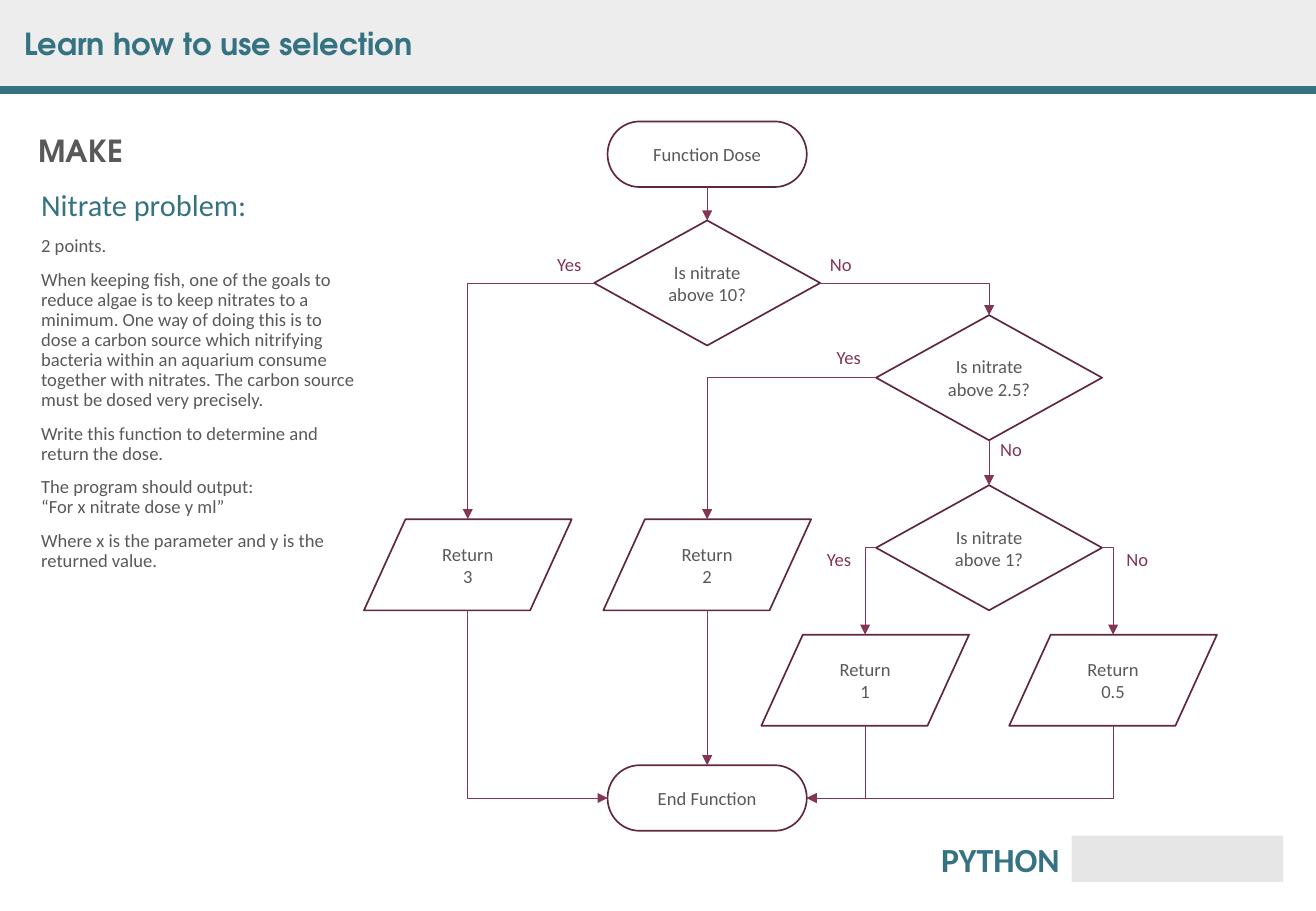
from lxml.etree import SubElement
from pptx import Presentation
from pptx.dml.color import RGBColor
from pptx.enum.shapes import MSO_CONNECTOR, MSO_SHAPE
from pptx.enum.text import MSO_ANCHOR, MSO_AUTO_SIZE, PP_ALIGN
from pptx.oxml.ns import qn
from pptx.util import Inches, Pt

COLORS = {
    "teal": "357382", "band": "EDEDED", "text": "595959", "pale": "E7E6E6",
    "white": "FFFFFF", "outline": "60273E", "arrow": "823554",
}
HEADING_FONT = "TeX Gyre Adventor"
BODY_FONT = "Calibri"

# Node kinds: preset, width, height
KINDS = {
    "terminal": (MSO_SHAPE.FLOWCHART_TERMINATOR, 1.64, 0.54),
    "decision": (MSO_SHAPE.FLOWCHART_DECISION, 1.86, 1.03),
    "output": (MSO_SHAPE.FLOWCHART_DATA, 1.71, 0.75),
}
SITES = {"top": 0, "left": 1, "bottom": 2, "right": 3}
OUTPUT_SITES = {"top": 1, "left": 2, "bottom": 4, "right": 5}

# Nodes: kind, text, centre x and y within the chart
NODES = {
    "start": ("terminal", "Function Dose", 2.83, 0.27),
    "above 10": ("decision", "Is nitrate above 10?", 2.83, 1.33),
    "above 2.5": ("decision", "Is nitrate above 2.5?", 5.15, 2.11),
    "above 1": ("decision", "Is nitrate above 1?", 5.15, 3.51),
    "dose 3": ("output", "Return\n3", 0.86, 3.65),
    "dose 2": ("output", "Return\n2", 2.83, 3.65),
    "dose 1": ("output", "Return\n1", 4.13, 4.6),
    "dose 0.5": ("output", "Return\n0.5", 6.17, 4.6),
    "end": ("terminal", "End Function", 2.83, 5.57),
}
ARROWS = [
    ("start", "bottom", "above 10", "top"),
    ("above 10", "right", "above 2.5", "top"),
    ("above 2.5", "bottom", "above 1", "top"),
    ("above 2.5", "left", "dose 2", "top"),
    ("above 10", "left", "dose 3", "top"),
    ("above 1", "right", "dose 0.5", "top"),
    ("above 1", "left", "dose 1", "top"),
    ("dose 3", "bottom", "end", "left"),
    ("dose 1", "bottom", "end", "right"),
    ("dose 0.5", "bottom", "end", "right"),
    ("dose 2", "bottom", "end", "top"),
]
ANSWERS = [
    ("Yes", 1.49, 1.03), ("No", 3.74, 1.03), ("Yes", 3.79, 1.8),
    ("No", 5.14, 2.56), ("Yes", 3.71, 3.46), ("No", 6.18, 3.46),
]
PROBLEM = [
    "Nitrate problem:",
    "2 points.",
    "When keeping fish, one of the goals to reduce algae is to keep nitrates to a "
    "minimum. One way of doing this is to dose a carbon source which nitrifying "
    "bacteria within an aquarium consume together with nitrates. The carbon source "
    "must be dosed very precisely.",
    "Write this function to determine and return the dose.",
    "The program should output:\n“For x nitrate dose y ml”",
    "Where x is the parameter and y is the returned value.",
]


def color(name):
    return RGBColor.from_string(COLORS[name])


def write(para, text, size, color_name, font=BODY_FONT, bold=False, align=PP_ALIGN.LEFT):
    para.text = text
    para.alignment = align
    para.font.size = Pt(size)
    para.font.name = font
    para.font.bold = bold
    para.font.color.rgb = color(color_name)


def add_box(page, preset, left, top, width, height, fill, line=None):
    box = page.shapes.add_shape(preset, Inches(left), Inches(top), Inches(width), Inches(height))
    box.shadow.inherit = False
    box.fill.solid()
    box.fill.fore_color.rgb = color(fill)
    if line:
        box.line.color.rgb = color(line)
        box.line.width = Pt(1)
    else:
        box.line.fill.background()
    box.text_frame.vertical_anchor = MSO_ANCHOR.MIDDLE
    return box


def add_text(page, left, top, width, height, wrap=False):
    box = page.shapes.add_textbox(Inches(left), Inches(top), Inches(width), Inches(height))
    box.text_frame.word_wrap = wrap
    return box.text_frame


def add_line(page, kind, ends, line, weight):
    connector = page.shapes.add_connector(kind, *(int(end) for end in ends))
    connector.line.color.rgb = color(line)
    connector.line.width = Pt(weight)
    SubElement(connector._element.spPr, qn("a:effectLst"))
    return connector


def site_point(node, side):
    across = {"left": 0, "right": 1}.get(side, 0.5)
    down = {"top": 0, "bottom": 1}.get(side, 0.5)
    return node.left + node.width * across, node.top + node.height * down


def add_arrow(page, nodes, source, out_side, target, in_side):
    """Join two nodes with a straight arrow or one with a single corner."""
    x1, y1 = site_point(nodes[source], out_side)
    x2, y2 = site_point(nodes[target], in_side)
    straight = abs(x2 - x1) < Inches(0.01)
    ends, turn = (x1, y1, x2, y2), 0
    if not straight and out_side == "bottom":
        # A path that starts downwards is a turned one that starts sideways
        mid_x, mid_y = (x1 + x2) / 2, (y1 + y2) / 2
        half_width, half_height = (y2 - y1) / 2, abs(x2 - x1) / 2
        way = 1 if x2 < x1 else -1
        ends = (mid_x - way * half_width, mid_y - half_height,
                mid_x + way * half_width, mid_y + half_height)
        turn = 90 if way == 1 else 270
    kind = MSO_CONNECTOR.STRAIGHT if straight else MSO_CONNECTOR.ELBOW
    connector = add_line(page, kind, ends, "arrow", 0.5)
    element = connector._element
    if not straight:
        element.spPr.find(qn("a:prstGeom")).set("prst", "bentConnector2")
    if turn:
        element.spPr.find(qn("a:xfrm")).set("rot", str(turn * 60000))
    SubElement(element.spPr.find(qn("a:ln")), qn("a:tailEnd"), type="triangle")
    links = element.nvCxnSpPr.cNvCxnSpPr
    for tag, name, side in (("a:stCxn", source, out_side), ("a:endCxn", target, in_side)):
        sites = OUTPUT_SITES if NODES[name][0] == "output" else SITES
        SubElement(links, qn(tag), id=str(nodes[name].shape_id), idx=str(sites[side]))


def add_header(page, width, height):
    band = add_box(page, MSO_SHAPE.RECTANGLE, 0, 0, width, height, "band")
    page.shapes._spTree.insert(2, band._element)
    ends = (0, Inches(height), Inches(width), Inches(height))
    add_line(page, MSO_CONNECTOR.STRAIGHT, ends, "teal", 4.5)
    title = page.shapes.title
    title.left, title.top = Inches(0.1), Inches(0.16)
    title.width, title.height = Inches(3.43), Inches(0.4)
    frame = title.text_frame
    frame.word_wrap = False
    frame.auto_size = MSO_AUTO_SIZE.NONE
    frame.vertical_anchor = MSO_ANCHOR.TOP
    write(frame.paragraphs[0], "Learn how to use selection", 18, "teal", HEADING_FONT, True)


def add_problem(page, left, top):
    heading = add_text(page, left, top, 0.9, 0.4)
    write(heading.paragraphs[0], "MAKE", 18, "text", HEADING_FONT, True)
    frame = add_text(page, left + 0.02, top + 0.48, 2.78, 5.2, wrap=True)
    for index, text in enumerate(PROBLEM):
        para = frame.add_paragraph() if index else frame.paragraphs[0]
        write(para, text, 11 if index else 18, "text" if index else "teal")
        para.line_spacing = 0.9
        para.space_before = Pt(8 if index else 0)


def add_flowchart(page, left, top):
    nodes = {}
    for name, (kind, text, x, y) in NODES.items():
        preset, width, height = KINDS[kind]
        nodes[name] = add_box(page, preset, left + x - width / 2, top + y - height / 2,
                              width, height, "white", "outline")
        write(nodes[name].text_frame.paragraphs[0], text, 11, "text", align=PP_ALIGN.CENTER)
    for arrow in ARROWS:
        add_arrow(page, nodes, *arrow)
    for answer, x, y in ANSWERS:
        width = 0.41 if answer == "Yes" else 0.38
        frame = add_text(page, left + x, top + y, width, 0.29)
        write(frame.paragraphs[0], answer, 11, "arrow", align=PP_ALIGN.CENTER)


def add_footer(page, left, top):
    label = add_text(page, left, top, 2, 0.44, wrap=True)
    label.vertical_anchor = MSO_ANCHOR.BOTTOM
    write(label.paragraphs[0], "PYTHON", 20, "teal", bold=True, align=PP_ALIGN.RIGHT)
    add_box(page, MSO_SHAPE.RECTANGLE, left + 2, top + 0.03, 1.74, 0.38, "pale")


def main():
    deck = Presentation()
    deck.slide_width, deck.slide_height = Inches(10.83), Inches(7.5)
    page = deck.slides.add_slide(deck.slide_layouts[5])
    add_header(page, 10.83, 0.74)
    add_footer(page, 6.82, 6.85)
    add_problem(page, 0.22, 1.04)
    add_flowchart(page, 2.99, 1)
    deck.save("out.pptx")


if __name__ == "__main__":
    main()
